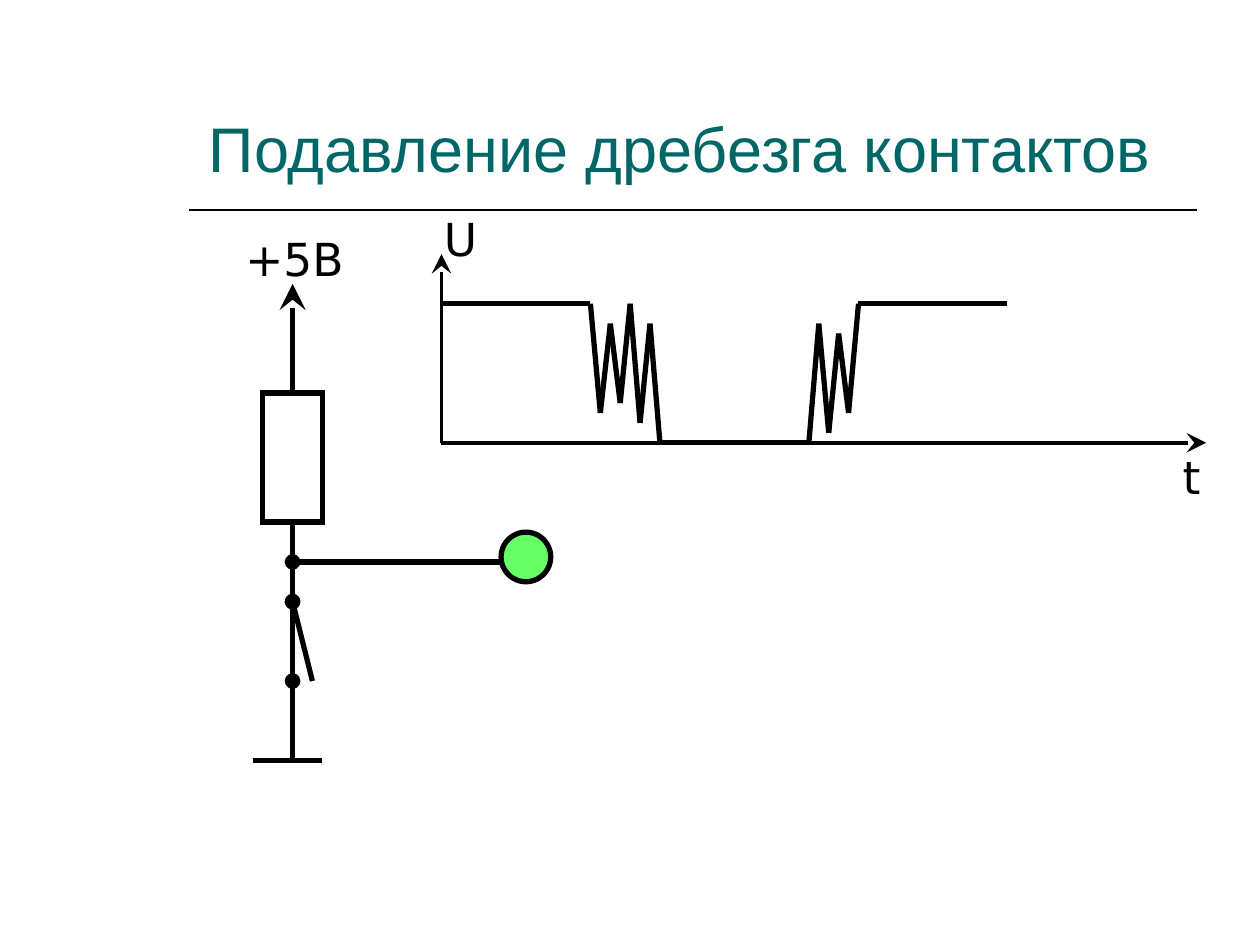
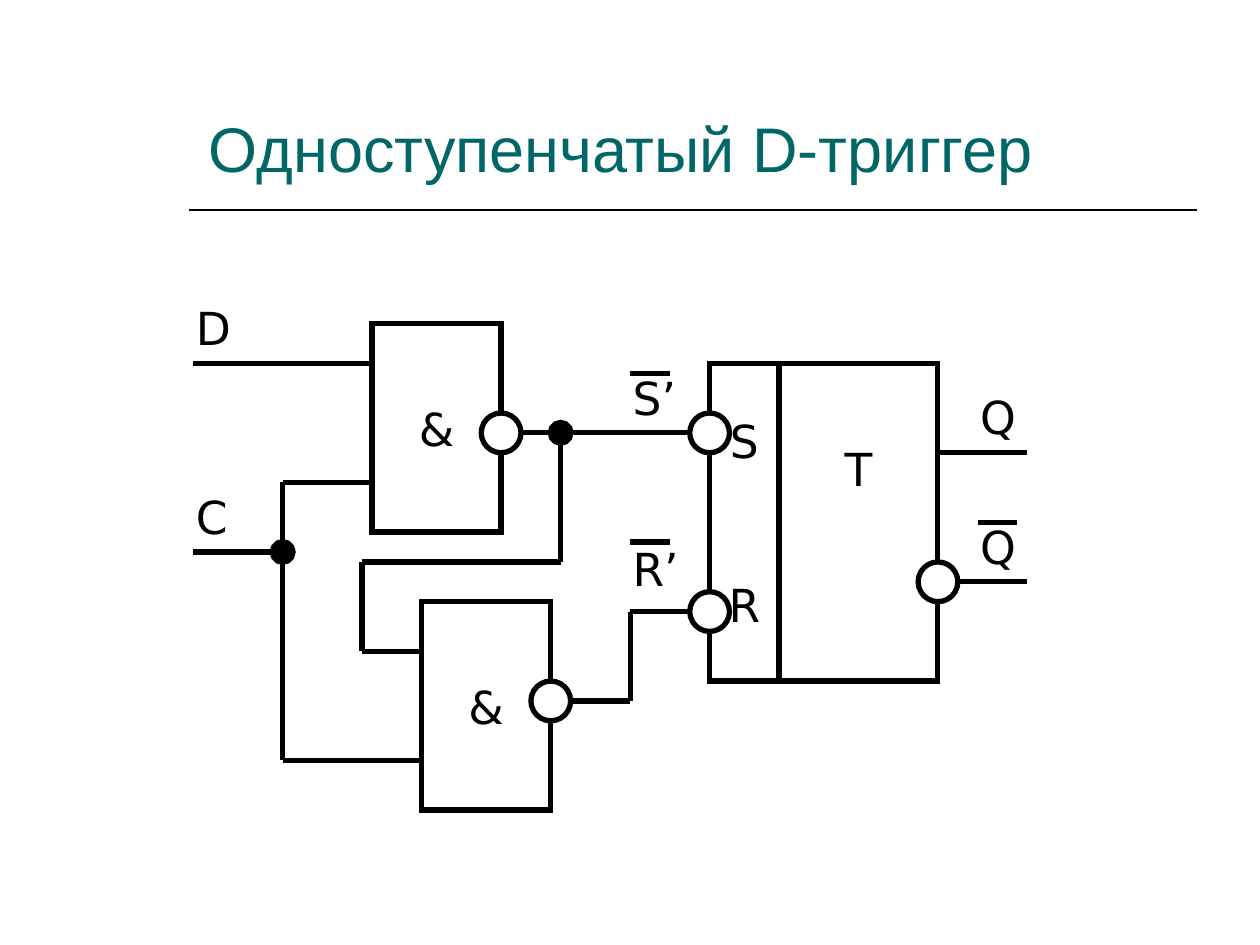
from itertools import pairwise
from typing import NamedTuple

from lxml import etree
from pptx import Presentation
from pptx import util as u
from pptx.dml.color import RGBColor
from pptx.enum import shapes, text
from pptx.oxml.ns import qn

WIDTH, HEIGHT = u.Inches(10), u.Inches(7.5)

# Drawing grid: inches per cell and the place of its first column and row
CELL = u.Inches(0.0788)
ORIGIN_X, ORIGIN_Y = u.Inches(0.037), u.Inches(0.047)

BLACK, WHITE, TEAL, GREEN = "000000", "FFFFFF", "006666", "66FF66"
TITLE_FONT, LABEL_FONT = "Arial", "DejaVu Sans"
LABEL_SIZE, WIRE_WIDTH, AXIS_WIDTH = 26, 3, 2.25
RECT, CIRCLE = shapes.MSO_SHAPE.RECTANGLE, shapes.MSO_SHAPE.OVAL
LABEL_ROWS = 6.9
BUBBLE = 4


class Wire(NamedTuple):
    """A chain of straight segments through (column, row) points."""
    points: list[tuple[float, float]]
    head: str = ""
    tail: str = ""
    width: float = WIRE_WIDTH
    end_size: str = "lg"


class Part(NamedTuple):
    """A circuit part with its outline; each line of text is a paragraph."""
    col: float
    row: float
    cols: float
    rows: float
    lines: tuple[str, ...] = ()
    gap: float = 0
    bottom: float = 0.05
    kind: shapes.MSO_SHAPE = RECT
    fill: str = WHITE


class Label(NamedTuple):
    text: str
    col: float
    row: float
    cols: float = 9


def color(value: str) -> RGBColor:
    return RGBColor.from_string(value)


def x(col: float) -> int:
    return round(ORIGIN_X + col * CELL)


def y(row: float) -> int:
    return round(ORIGIN_Y + row * CELL)


def write(frame, *lines: str, font: str = LABEL_FONT, size: float = LABEL_SIZE,
          ink: str = BLACK, align=text.PP_ALIGN.LEFT, anchor=text.MSO_ANCHOR.TOP,
          wrap: bool = True, gap: float = 0, bottom: float = 0.05) -> None:
    frame.word_wrap = wrap
    frame.vertical_anchor = anchor
    frame.margin_bottom = u.Inches(bottom)
    for index, line in enumerate(lines):
        paragraph = frame.add_paragraph() if index else frame.paragraphs[0]
        paragraph.alignment = align
        if index:
            paragraph.space_before = u.Pt(gap)
        run = paragraph.add_run()
        run.text = line
        run.font.name, run.font.size = font, u.Pt(size)
        run.font.color.rgb = color(ink)


def draw_line(slide, start: tuple[int, int], end: tuple[int, int], width: float,
              head: str = "", tail: str = "", end_size: str = "med") -> None:
    line = slide.shapes.add_connector(shapes.MSO_CONNECTOR.STRAIGHT, *start, *end)
    line.line.width = u.Pt(width)
    line.line.color.rgb = color(BLACK)
    outline = line.line._get_or_add_ln()
    for tag, kind in (("a:headEnd", head), ("a:tailEnd", tail)):
        if kind:
            etree.SubElement(outline, qn(tag), type=kind, w=end_size, len=end_size)
    etree.SubElement(line._element.spPr, qn("a:effectLst"))


def draw_wire(slide, wire: Wire) -> None:
    for start, end in pairwise(wire.points):
        draw_line(slide, (x(start[0]), y(start[1])), (x(end[0]), y(end[1])),
                  wire.width, wire.head, wire.tail, wire.end_size)


def draw_part(slide, part: Part) -> None:
    body = slide.shapes.add_shape(part.kind, x(part.col), y(part.row),
                                  round(part.cols * CELL), round(part.rows * CELL))
    body.shadow.inherit = False
    body.fill.solid()
    body.fill.fore_color.rgb = color(part.fill)
    body.line.color.rgb = color(BLACK)
    body.line.width = u.Pt(WIRE_WIDTH)
    etree.SubElement(body.line._get_or_add_ln(), qn("a:miter"), lim="800000")
    if part.lines:
        write(body.text_frame, *part.lines, align=text.PP_ALIGN.CENTER,
              anchor=text.MSO_ANCHOR.MIDDLE, wrap=False, gap=part.gap, bottom=part.bottom)


def draw_label(slide, label: Label) -> None:
    box = slide.shapes.add_textbox(x(label.col), y(label.row),
                                   round(label.cols * CELL), round(LABEL_ROWS * CELL))
    write(box.text_frame, label.text)


def bubble(col: float, row: float) -> Part:
    """An inversion circle centred on a grid point."""
    return Part(col - BUBBLE / 2, row - BUBBLE / 2, BUBBLE, BUBBLE, kind=CIRCLE)


def add_slide(deck, title: str, wires: list[Wire], parts: list[Part],
              labels: list[Label]) -> None:
    slide = deck.slides.add_slide(deck.slide_layouts[6])

    # Title and the rule below it
    rule_y = round(0.222 * HEIGHT)
    draw_line(slide, (round(0.15 * WIDTH), rule_y), (round(0.95 * WIDTH), rule_y), 1)
    box = slide.shapes.add_textbox(round(0.156 * WIDTH), round(0.052 * HEIGHT),
                                   round(0.788 * WIDTH), round(0.15 * HEIGHT))
    write(box.text_frame, title, font=TITLE_FONT, size=36, ink=TEAL,
          anchor=text.MSO_ANCHOR.BOTTOM)

    # Circuit: parts cover the ends of the wires
    for wire in wires:
        draw_wire(slide, wire)
    for part in parts:
        draw_part(slide, part)
    for label in labels:
        draw_label(slide, label)


def add_debounce_slide(deck) -> None:
    bounce = [(44, 30), (59, 30), (60, 41), (61, 32), (62, 40), (63, 30), (64, 42),
              (65, 32), (66, 44), (81, 44), (82, 32), (83, 43), (84, 33), (85, 41),
              (86, 30), (101, 30)]
    wires = [
        # Button with pull-up resistor
        Wire([(29, 39), (29, 28)], tail="stealth"),
        Wire([(29, 52), (29, 60)]),
        Wire([(25, 76), (32, 76)]),
        Wire([(29, 60), (31, 68)], head="oval", end_size="med"),
        Wire([(29, 60), (29, 68), (29, 76)], head="oval", end_size="med"),
        Wire([(29, 56), (50, 56)], head="oval", end_size="med"),
        # Voltage over time
        Wire([(44, 44), (44, 25)], tail="stealth", width=AXIS_WIDTH),
        Wire([(44, 44), (121, 44)], tail="stealth", width=AXIS_WIDTH),
        Wire(bounce),
    ]
    resistor = Part(26, 39, 6, 13)
    output = Part(50, 53, 5, 5, kind=CIRCLE, fill=GREEN)
    labels = [Label("+5В", 23, 22, cols=15), Label("t", 117.4, 44), Label("U", 43, 20)]
    add_slide(deck, "Подавление дребезга контактов", wires, [resistor, output], labels)


def add_trigger_slide(deck) -> None:
    wires = [
        # Inputs D and С
        Wire([(19, 36), (37, 36)]),
        Wire([(19, 55), (28, 55), (28, 48), (37, 48)]),
        Wire([(28, 55), (28, 76)], head="oval"),
        Wire([(28, 76), (42, 76)]),
        # Gate outputs
        Wire([(50, 43), (71, 43)]),
        Wire([(56, 43), (56, 56)], head="oval"),
        Wire([(56, 56), (36, 56), (36, 65), (42, 65)]),
        Wire([(55, 70), (63, 70), (63, 61), (71, 61)]),
        # Trigger outputs
        Wire([(94, 45), (103, 45)]),
        Wire([(94, 58), (103, 58)]),
    ]
    overbars = [Wire([(col, row), (col + 4, row)])
                for col, row in ((63, 37), (63, 54), (98, 52))]
    gates = [Part(col, row, 13, 21, ("&",)) for col, row in ((37, 32), (42, 60))]
    trigger = [Part(71, 36, 7, 32, ("S", "R"), gap=63),
               Part(78, 36, 16, 32, ("T",), bottom=0.9)]
    bubbles = [bubble(col, row)
               for col, row in ((50, 43), (55, 70), (71, 43), (71, 61), (94, 58))]
    labels = [Label("D", 18, 29), Label("С", 18, 48), Label("S’", 62, 36),
              Label("R’", 62, 53.3), Label("Q", 97, 38), Label("Q", 97, 51.1)]
    add_slide(deck, "Одноступенчатый D-триггер", wires + overbars,
              gates + trigger + bubbles, labels)


def main() -> None:
    deck = Presentation()
    deck.slide_width, deck.slide_height = WIDTH, HEIGHT
    add_debounce_slide(deck)
    add_trigger_slide(deck)
    deck.save("out.pptx")


if __name__ == "__main__":
    main()
